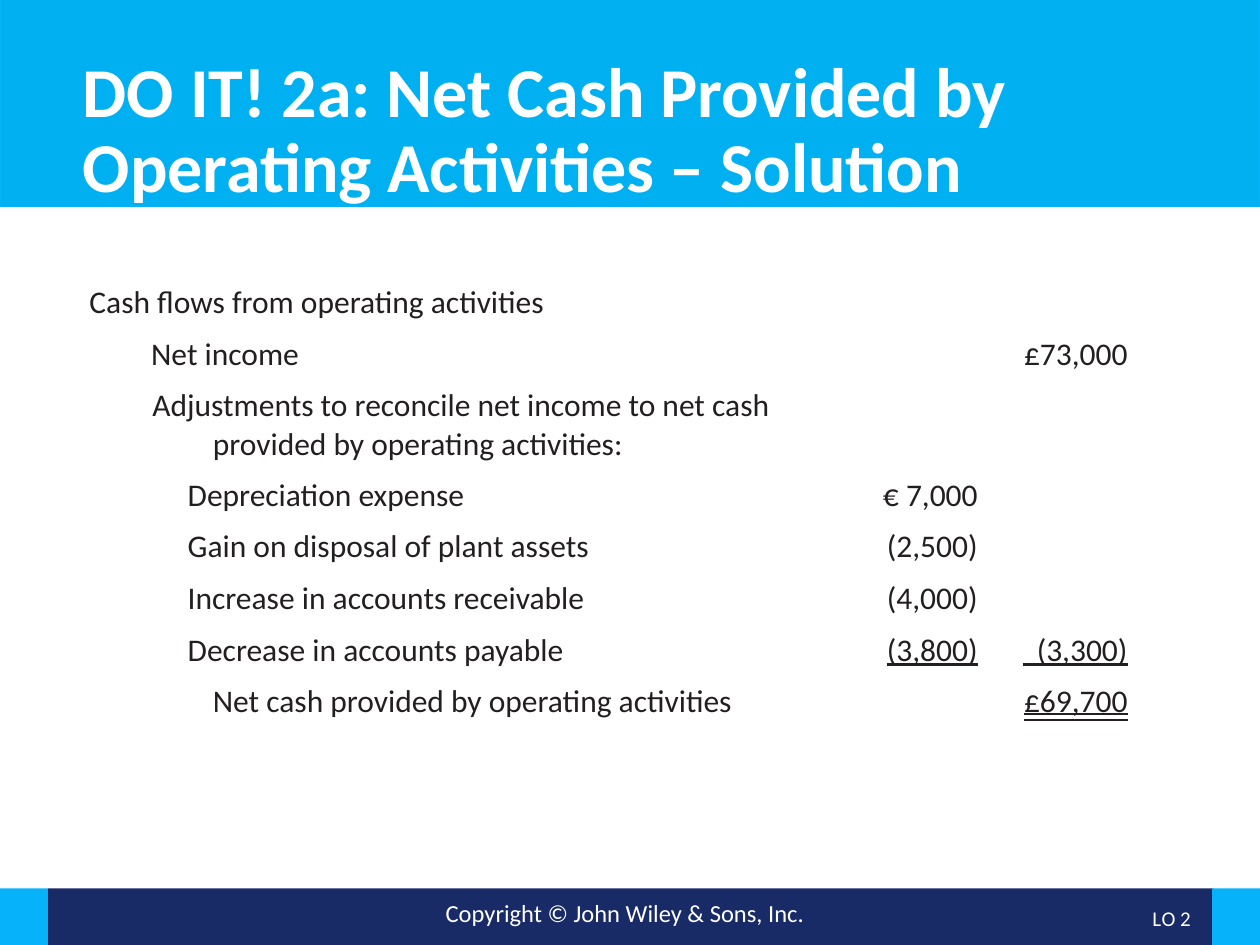
from pptx import Presentation
from pptx.dml.color import RGBColor
from pptx.enum.shapes import MSO_SHAPE
from pptx.enum.text import MSO_ANCHOR, MSO_UNDERLINE as UNDERLINE, PP_ALIGN as ALIGN
from pptx.util import Inches, Pt

COLORS = {"navy": "192B67", "sky": "06B2FA", "header": "00B0F0",
          "white": "FFFFFF", "ink": "231F20"}
SINGLE, DOUBLE = UNDERLINE.SINGLE_LINE, UNDERLINE.DOUBLE_LINE

# Label, left margin, first-line indent, then (amount, underline) per column
STATEMENT = [
    ("Cash flows from operating activities", 0, 0, None, None),
    ("Net income", 0, 0.49, None, ("£73,000", None)),
    ("Adjustments to reconcile net income to net cash provided by operating activities:",
     0.98, -0.48, None, None),
    ("Depreciation expense", 0, 0.78, ("€ 7,000", None), None),
    ("Gain on disposal of plant assets", 0, 0.78, ("(2,500)", None), None),
    ("Increase in accounts receivable", 0, 0.78, ("(4,000)", None), None),
    ("Decrease in accounts payable", 0, 0.78, ("(3,800)", SINGLE), ("  (3,300)", SINGLE)),
    ("Net cash provided by operating activities", 0, 0.98, None, ("£69,700", DOUBLE)),
]
COLUMN_WIDTHS = (6.14, 1.11, 1.19)
ROW_HEIGHT, WRAPPED_HEIGHT = 0.41, 0.71


def rgb(name):
    return RGBColor.from_string(COLORS[name])


def add_run(paragraph, text, size, color, **formats):
    run = paragraph.add_run()
    run.text = text
    values = {"name": "Calibri", "size": Pt(size), **formats}
    for attribute, value in values.items():
        setattr(run.font, attribute, value)
    run.font.color.rgb = rgb(color)


def add_bar(slide, box, fill, line=None):
    shape = slide.shapes.add_shape(MSO_SHAPE.RECTANGLE, *map(Inches, box))
    shape.shadow.inherit = False
    shape.fill.solid()
    shape.fill.fore_color.rgb = rgb(fill)
    if line:
        shape.line.color.rgb = rgb(line)
        shape.line.width = Pt(1)
    else:
        shape.line.fill.background()


def add_text(slide, box, runs, anchor=MSO_ANCHOR.TOP, bold=False, **formats):
    frame = slide.shapes.add_textbox(*map(Inches, box)).text_frame
    frame.word_wrap = True
    frame.vertical_anchor = anchor
    paragraph = frame.paragraphs[0]
    for attribute, value in formats.items():
        setattr(paragraph, attribute, value)
    for text, size in runs:
        add_run(paragraph, text, size, "white", bold=bold)


def add_statement(slide):
    table = slide.shapes.add_table(
        len(STATEMENT), len(COLUMN_WIDTHS), Inches(0.61), Inches(2.2),
        Inches(sum(COLUMN_WIDTHS)), Inches(ROW_HEIGHT * len(STATEMENT))).table
    table.first_row = table.horz_banding = False
    for column, width in zip(table.columns, COLUMN_WIDTHS):
        column.width = Inches(width)

    for row, (label, margin, indent, *amounts) in zip(table.rows, STATEMENT):
        row.height = Inches(WRAPPED_HEIGHT if margin else ROW_HEIGHT)
        for cell, entry in zip(row.cells, [(label, None), *amounts]):
            cell.fill.background()
            paragraph = cell.text_frame.paragraphs[0]
            paragraph.font.size = Pt(18)
            if entry:
                text, underline = entry
                paragraph.alignment = ALIGN.LEFT if text == label else ALIGN.RIGHT
                add_run(paragraph, text, 18, "ink", underline=underline)
        # Indents apply to the label column only
        properties = row.cells[0].text_frame.paragraphs[0]._p.get_or_add_pPr()
        properties.set("marL", str(Inches(margin)))
        properties.set("indent", str(Inches(indent)))


def main():
    presentation = Presentation()
    presentation.slide_width, presentation.slide_height = Inches(10), Inches(7.5)
    slide = presentation.slides.add_slide(presentation.slide_layouts[6])

    # Footer band
    for left, width, fill in ((0.38, 9.25, "navy"), (0, 0.38, "sky"), (9.62, 0.38, "sky")):
        add_bar(slide, (left, 7.05, width, 0.5), fill)
    add_text(slide, (2.5, 7.08, 4.92, 0.34),
             [("Copyright © John Wiley & Sons, Inc.", 14)], alignment=ALIGN.CENTER)

    # Header and title
    add_bar(slide, (0, -0.01, 10, 1.65), "header", line="sky")
    add_text(slide, (0.56, 0.4, 8.88, 1.04),
             [("DO IT! 2a: Net Cash Provided by Operating Activities – Solution", 40)],
             bold=True, line_spacing=0.9)

    # Cash flow statement
    add_statement(slide)

    # Learning objective, with a hairline space inside "LO"
    add_text(slide, (8.73, 7.1, 0.82, 0.4), [("L", 12), (" ", 1), ("O 2", 12)],
             anchor=MSO_ANCHOR.MIDDLE, alignment=ALIGN.RIGHT, line_spacing=0.9)

    presentation.save("out.pptx")


if __name__ == "__main__":
    main()
